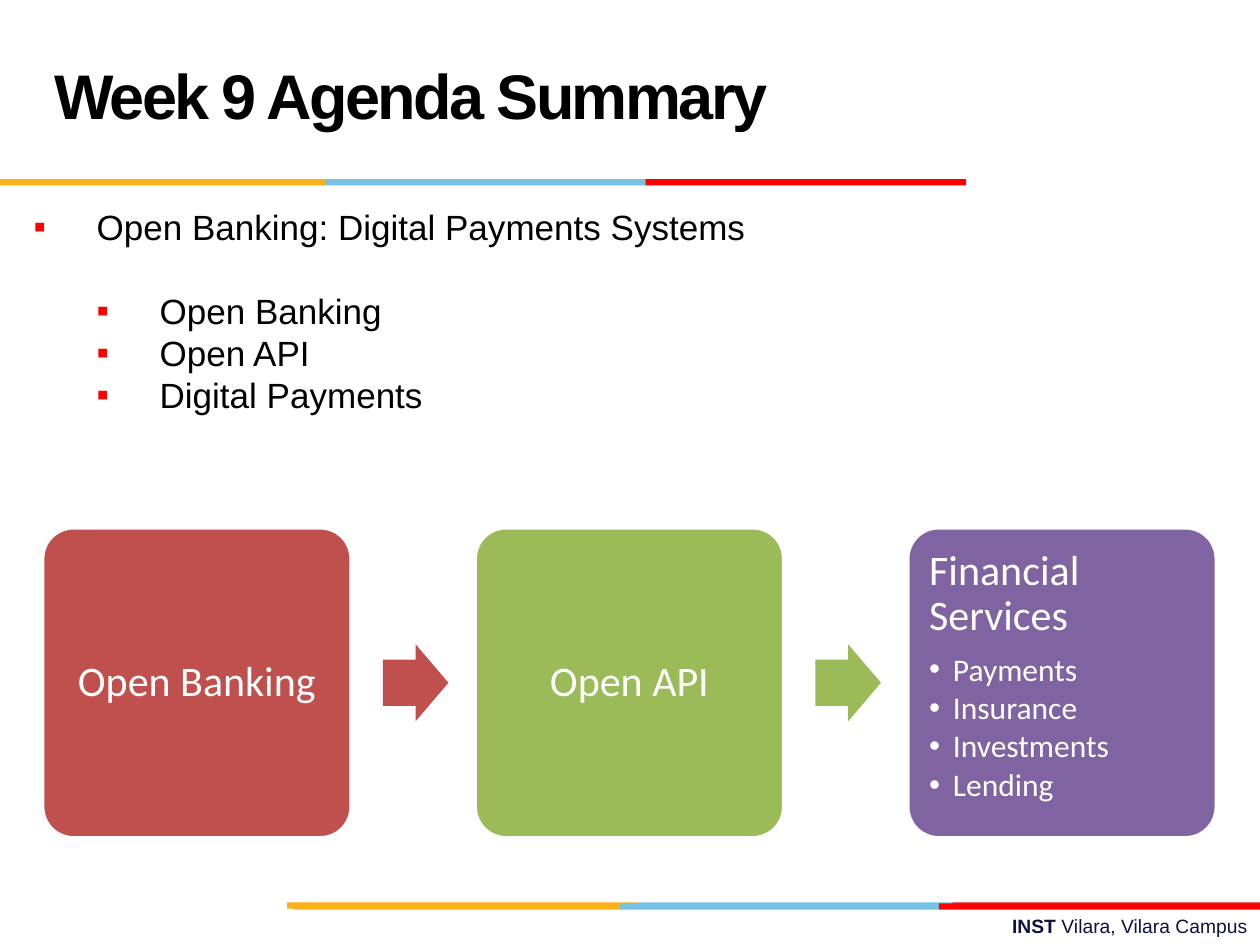
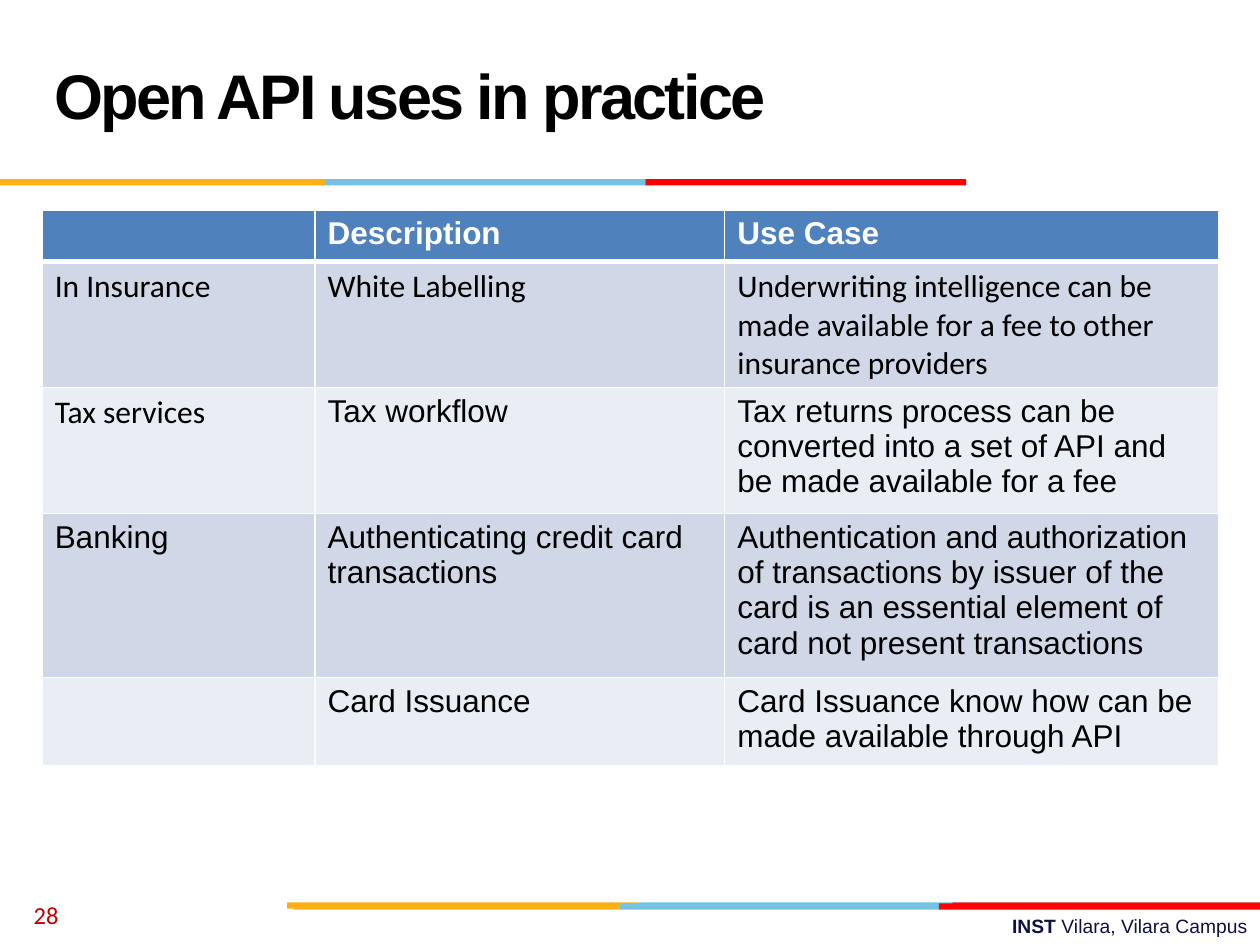
from dataclasses import dataclass

from lxml.etree import SubElement
from pptx import Presentation
from pptx.dml.color import RGBColor
from pptx.enum.shapes import MSO_SHAPE
from pptx.enum.text import MSO_ANCHOR, PP_ALIGN
from pptx.oxml.ns import qn
from pptx.util import Cm, Length, Pt


@dataclass(frozen=True)
class Theme:
    heading_font: str = "Arial"
    body_font: str = "Calibri"
    black: str = "000000"
    white: str = "FFFFFF"
    navy: str = "101141"
    amber: str = "FCB017"
    sky: str = "76C2E5"
    red: str = "FF0000"
    deep_red: str = "E31C24"
    page_red: str = "C00000"
    header_blue: str = "4F81BD"
    row_tints: tuple[str, str] = ("D0D8E8", "E9EDF4")
    brick: str = "C0504D"
    green: str = "9BBB59"
    purple: str = "8064A2"
    title_size: int = 36
    step_size: int = 24
    agenda_size: int = 20
    text_size: int = 18
    page_size: int = 14
    footer_size: int = 11


THEME = Theme()


@dataclass(frozen=True)
class Band:
    """A strip of coloured segments laid end to end; lengths in cm."""
    left: float
    top: float
    widths: tuple[float, ...]
    colors: tuple[str, ...]


@dataclass(frozen=True)
class Step:
    heading: str
    color: str
    services: tuple[str, ...] = ()


@dataclass(frozen=True)
class UseCase:
    area: str
    description: str
    detail: str
    height: float
    area_font: str = THEME.heading_font
    text_font: str = THEME.heading_font


BAND_HEIGHT = Cm(0.13)
BANDS = (
    Band(5.79, 18.19, (7.06, 6.35, 6.2), (THEME.amber, THEME.sky, THEME.deep_red)),
    Band(5.92, 18.21, (6.58, 6.43, 6.47), (THEME.amber, THEME.sky, THEME.red)),
    Band(0, 3.61, (6.55, 6.46, 6.47), (THEME.amber, THEME.sky, THEME.red)),
)

AGENDA_TOPIC = "Open Banking: Digital Payments Systems"
AGENDA_ITEMS = ("Open Banking", "Open API", "Digital Payments")

STEPS = (
    Step("Open Banking", THEME.brick),
    Step("Open API", THEME.green),
    Step("Financial Services", THEME.purple,
         ("Payments", "Insurance", "Investments", "Lending")),
)

TABLE_HEADINGS = ("", "Description", "Use Case")
COLUMN_WIDTHS = (5.5, 8.26, 9.95)
HEADING_HEIGHT = 1.04
USE_CASES = (
    UseCase("In Insurance", "White Labelling",
            "Underwriting intelligence can be made available for a fee to other "
            "insurance providers", 2.54, THEME.body_font, THEME.body_font),
    UseCase("Tax services", "Tax workflow",
            "Tax returns process can be converted into a set of API and be made "
            "available for a fee", 2.54, THEME.body_font),
    UseCase("Banking", "Authenticating credit card transactions",
            "Authentication and authorization of transactions by issuer of the card "
            "is an essential element of card not present transactions", 3.3),
    UseCase("", "Card Issuance",
            "Card Issuance know how can be made available through API", 1.78),
)


def add_run(paragraph, text: str, *, size: int, font: str = THEME.heading_font,
            color: str = THEME.black, bold: bool = False, tracking: float = 0):
    run = paragraph.add_run()
    run.text = text
    run.font.size = Pt(size)
    run.font.name = font
    run.font.bold = bold
    run.font.color.rgb = RGBColor.from_string(color)
    if tracking:
        run._r.get_or_add_rPr().set("spc", str(round(tracking * 100)))


def set_bullet(paragraph, symbol: str, left: Length, hanging: Length,
               color: str) -> None:
    properties = paragraph._p.get_or_add_pPr()
    properties.set("marL", str(left))
    properties.set("indent", str(-hanging))
    bullet_color = SubElement(properties, qn("a:buClr"))
    SubElement(bullet_color, qn("a:srgbClr")).set("val", color)
    SubElement(properties, qn("a:buFont")).set("typeface", THEME.heading_font)
    SubElement(properties, qn("a:buChar")).set("char", symbol)


def write(frame, text: str, *, align: PP_ALIGN = PP_ALIGN.LEFT, level: int = 0,
          line_spacing: float | Length | None = None, before: float = 0,
          after: float = 0, **run_format):
    """Fill the frame's first paragraph, or add one if it already has text."""
    first = frame.paragraphs[0]
    paragraph = frame.add_paragraph() if first.runs else first
    paragraph.alignment = align
    paragraph.level = level
    paragraph.line_spacing = line_spacing
    paragraph.space_before = Pt(before)
    paragraph.space_after = Pt(after)
    add_run(paragraph, text, **run_format)
    return paragraph


def add_text_frame(slide, left: float, top: float, width: float, height: float,
                   anchor: MSO_ANCHOR = MSO_ANCHOR.TOP):
    frame = slide.shapes.add_textbox(Cm(left), Cm(top), Cm(width), Cm(height)).text_frame
    frame.word_wrap = True
    frame.vertical_anchor = anchor
    return frame


def add_filled_shape(slide, kind: MSO_SHAPE, left: Length, top: Length,
                     width: Length, height: Length, color: str):
    shape = slide.shapes.add_shape(kind, left, top, width, height)
    shape.shadow.inherit = False
    shape.fill.solid()
    shape.fill.fore_color.rgb = RGBColor.from_string(color)
    shape.line.fill.background()
    return shape


def add_band(slide, band: Band) -> None:
    left = Cm(band.left)
    for width, color in zip(band.widths, band.colors):
        add_filled_shape(slide, MSO_SHAPE.RECTANGLE, left, Cm(band.top),
                         Cm(width), BAND_HEIGHT, color)
        left += Cm(width)


def start_slide(deck, title: str):
    """Add a blank slide with the shared footer, bands and title."""
    slide = deck.slides.add_slide(deck.slide_layouts[6])
    footer_format = dict(size=THEME.footer_size, color=THEME.navy)
    footer = write(add_text_frame(slide, 9.09, 18.31, 16.31, 0.74), "INST ",
                   align=PP_ALIGN.RIGHT, bold=True, **footer_format)
    add_run(footer, "Vilara, Vilara Campus", **footer_format)
    for band in BANDS:
        add_band(slide, band)
    write(add_text_frame(slide, 0.84, 0.43, 23.7, 3.18, MSO_ANCHOR.MIDDLE), title,
          line_spacing=Pt(THEME.title_size), size=THEME.title_size, bold=True,
          tracking=-1.5)
    return slide


def add_agenda(slide) -> None:
    frame = add_text_frame(slide, 0.43, 4.01, 24.54, 4.52)
    indent = Cm(1.27)
    line = Pt(24)
    topic = write(frame, AGENDA_TOPIC, line_spacing=line, size=THEME.agenda_size)
    set_bullet(topic, "▪", indent, indent, THEME.red)
    for index, item in enumerate(AGENDA_ITEMS):
        entry = write(frame, item, level=1, line_spacing=line,
                      before=0 if index else line.pt, size=THEME.agenda_size)
        set_bullet(entry, "▪", 2 * indent, indent, THEME.red)


def add_step_box(slide, step: Step, left: Length, top: Length,
                 width: Length, height: Length) -> None:
    box = add_filled_shape(slide, MSO_SHAPE.ROUNDED_RECTANGLE, left, top,
                           width, height, step.color)
    box.adjustments[0] = 0.1
    box.line.color.rgb = RGBColor.from_string(THEME.white)
    box.line.width = Pt(2)
    frame = box.text_frame
    frame.word_wrap = True
    frame.margin_left = frame.margin_right = Cm(0.25)
    frame.margin_top = frame.margin_bottom = Cm(0.25)
    frame.vertical_anchor = MSO_ANCHOR.TOP if step.services else MSO_ANCHOR.MIDDLE
    text_format = dict(font=THEME.body_font, color=THEME.white, line_spacing=0.9)
    write(frame, step.heading, size=THEME.step_size, after=8,
          align=PP_ALIGN.LEFT if step.services else PP_ALIGN.CENTER, **text_format)
    for service in step.services:
        entry = write(frame, service, level=1, size=THEME.text_size, after=2.5,
                      **text_format)
        set_bullet(entry, "•", Cm(0.48), Cm(0.48), THEME.white)


def add_process(slide) -> None:
    top, width, height = Cm(10.64), Cm(6.22), Cm(6.25)
    pitch, arrow_offset = Cm(8.72), Cm(6.86)
    arrow_width, arrow_height = Cm(1.32), Cm(1.55)
    arrow_top = top + (height - arrow_height) // 2
    for index, step in enumerate(STEPS):
        left = Cm(0.86) + index * pitch
        add_step_box(slide, step, left, top, width, height)
        if index < len(STEPS) - 1:
            arrow = add_filled_shape(slide, MSO_SHAPE.RIGHT_ARROW, left + arrow_offset,
                                     arrow_top, arrow_width, arrow_height, step.color)
            arrow.adjustments[0] = 0.6
            arrow.adjustments[1] = 0.5


def set_borders(cell, top: float = 1, bottom: float = 1) -> None:
    """Draw white cell borders; widths in points."""
    properties = cell._tc.get_or_add_tcPr()
    sides = (("a:lnL", 1), ("a:lnR", 1), ("a:lnT", top), ("a:lnB", bottom))
    for position, (side, width) in enumerate(sides):
        border = SubElement(properties, qn(side), w=str(Pt(width)))
        fill = SubElement(border, qn("a:solidFill"))
        SubElement(fill, qn("a:srgbClr")).set("val", THEME.white)
        properties.insert(position, border)


def fill_cell(cell, text: str, fill: str, *, top: float = 1, bottom: float = 1,
              **text_format) -> None:
    cell.fill.solid()
    cell.fill.fore_color.rgb = RGBColor.from_string(fill)
    set_borders(cell, top, bottom)
    if text:
        write(cell.text_frame, text, size=THEME.text_size, **text_format)


def add_use_case_table(slide) -> None:
    heights = (HEADING_HEIGHT, *(case.height for case in USE_CASES))
    table = slide.shapes.add_table(len(heights), len(COLUMN_WIDTHS), Cm(0.85), Cm(4.23),
                                   Cm(sum(COLUMN_WIDTHS)), Cm(sum(heights))).table
    for column, width in zip(table.columns, COLUMN_WIDTHS):
        column.width = Cm(width)
    for row, height in zip(table.rows, heights):
        row.height = Cm(height)
    for column, heading in enumerate(TABLE_HEADINGS):
        fill_cell(table.cell(0, column), heading, THEME.header_blue, bottom=3,
                  color=THEME.white, bold=True)
    for row, case in enumerate(USE_CASES, start=1):
        texts = (case.area, case.description, case.detail)
        fonts = (case.area_font, case.text_font, case.text_font)
        for column, (text, font) in enumerate(zip(texts, fonts)):
            fill_cell(table.cell(row, column), text, THEME.row_tints[(row - 1) % 2],
                      top=3 if row == 1 else 1, font=font)


def main() -> None:
    deck = Presentation()
    deck.slide_width, deck.slide_height = Cm(25.4), Cm(19.05)

    summary = start_slide(deck, "Week 9 Agenda Summary")
    add_agenda(summary)
    add_process(summary)

    practice = start_slide(deck, "Open API uses in practice")
    write(add_text_frame(practice, 0.43, 17.93, 5.92, 1.02, MSO_ANCHOR.MIDDLE), "28",
          size=THEME.page_size, font=THEME.body_font, color=THEME.page_red)
    add_use_case_table(practice)

    deck.save("out.pptx")


if __name__ == "__main__":
    main()
